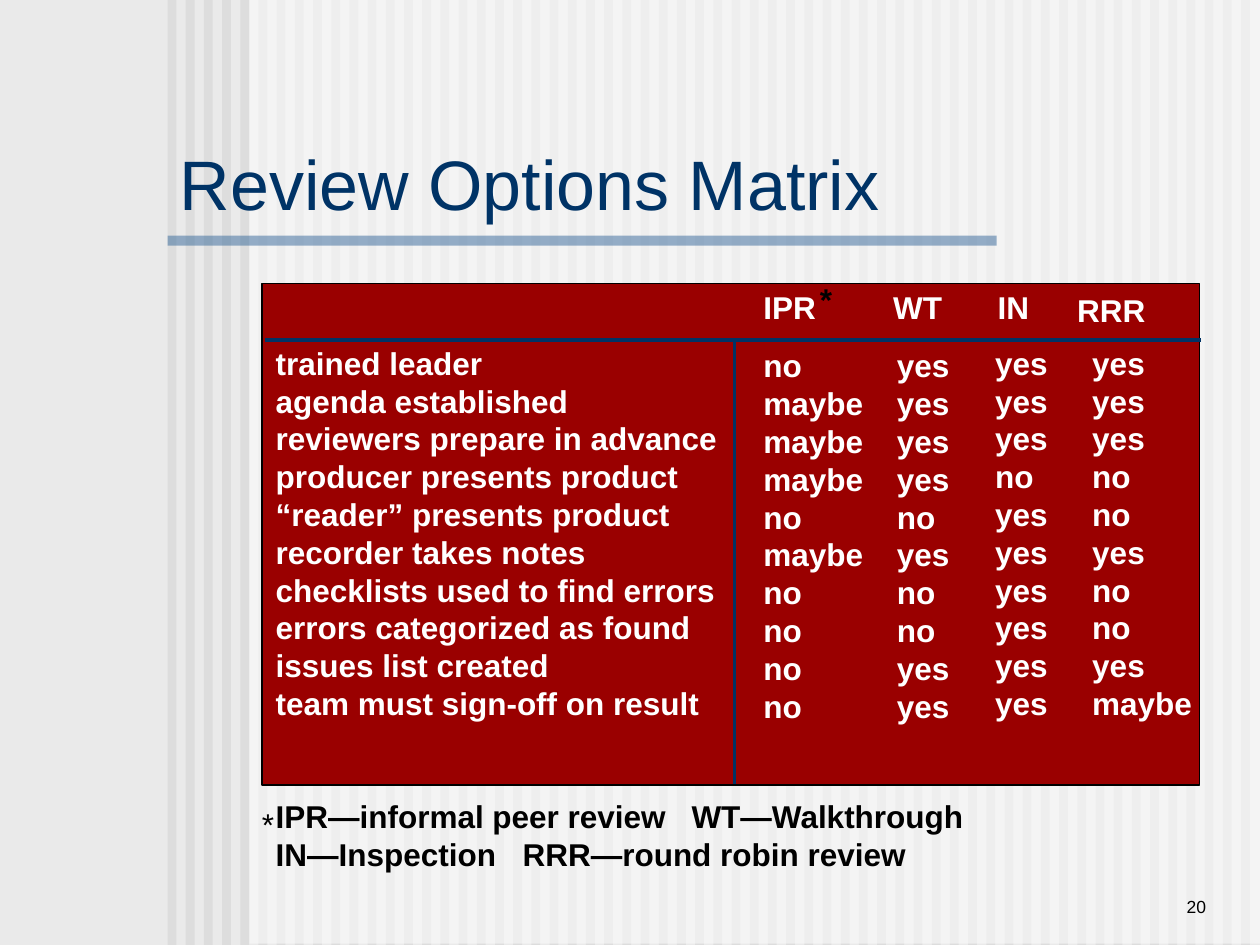
"""Build the Review Options Matrix slide."""
from lxml import etree
from pptx import Presentation, util as u
from pptx.dml.color import RGBColor
from pptx.enum import shapes, text
from pptx.oxml import ns

COLORS = {"back": "EAEAEA", "stripe": "DDDDDD", "veil": "FFFFFF", "bar": "336699",
          "panel": "9A0000", "navy": "003366", "light": "FFFFFF", "dark": "000000"}
SIZE = (10, 7.5)
STRIPES = {"count": 60, "first": 1.33, "last": 9.85, "width": 0.07}
LINE_PITCH = 21.6

CRITERIA = ["trained leader", "agenda established", "reviewers prepare in advance",
            "producer presents product", "“reader” presents product",
            "recorder takes notes", "checklists used to find errors",
            "errors categorized as found", "issues list created",
            "team must sign-off on result"]
FOOTNOTES = [("IPR—informal peer review\tWT—Walkthrough", 3.3),
             ("IN—Inspection\tRRR—round robin review", 1.96)]
OPTIONS = [
    {"name": "IPR", "head": (5.96, 2.24, 0.62, 0.4), "body": (5.96, 2.7, 0.99, 3.1),
     "answers": "no maybe maybe maybe no maybe no no no no"},
    {"name": "WT", "head": (6.99, 2.24, 0.59, 0.4), "body": (7.02, 2.7, 0.62, 3.1),
     "answers": "yes yes yes yes no yes no no yes yes"},
    {"name": "IN", "head": (7.82, 2.24, 0.45, 0.4), "body": (7.8, 2.68, 0.62, 3.1),
     "answers": "yes yes yes no yes yes yes yes yes yes"},
    {"name": "RRR", "head": (8.45, 2.26, 0.74, 0.4), "body": (8.57, 2.68, 0.99, 3.1),
     "answers": "yes yes yes no no yes no no yes maybe"},
]
STARS = [((6.41, 2.17, 0.3, 0.4), True), ((1.98, 6.34, 0.3, 0.4), False)]
RULES = [(2.1, 2.7, 9.53, 2.7), (5.83, 2.7, 5.83, 6.22)]


def inches(values):
    return [u.Inches(value) for value in values]


def color(name):
    return RGBColor.from_string(COLORS[name])


def add_block(page, place, fill, alpha=None, line=None):
    block = page.shapes.add_shape(shapes.MSO_SHAPE.RECTANGLE, *inches(place))
    block.shadow.inherit = False
    block.fill.solid()
    block.fill.fore_color.rgb = color(fill)
    if alpha:
        tint = block.fill._xPr.find(".//" + ns.qn("a:srgbClr"))
        etree.SubElement(tint, ns.qn("a:alpha")).set("val", str(alpha * 1000))
    if line:
        block.line.color.rgb = color(line)
        block.line.width = u.Pt(1)
    else:
        block.line.fill.background()


def add_rule(page, ends):
    rule = page.shapes.add_connector(shapes.MSO_CONNECTOR.STRAIGHT, *inches(ends))
    rule.line.color.rgb = color("navy")
    rule.line.width = u.Pt(2)
    etree.SubElement(rule._element.spPr, ns.qn("a:effectLst"))


def add_line(para, words, tint="light", **extra):
    span = para.add_run()
    span.text = words
    span.font.color.rgb = color(tint)
    for key, value in {"name": "Arial", "size": u.Pt(18), "bold": True, **extra}.items():
        setattr(span.font, key, value)


def add_text(page, place, lines, tint="light", wrap=False, pitch=LINE_PITCH,
             anchor=text.MSO_ANCHOR.TOP, align=text.PP_ALIGN.LEFT, **extra):
    frame = page.shapes.add_textbox(*inches(place)).text_frame
    frame.word_wrap = wrap
    frame.vertical_anchor = anchor
    for index, words in enumerate(lines):
        para = frame.add_paragraph() if index else frame.paragraphs[0]
        para.alignment = align
        if pitch:
            para.line_spacing = u.Pt(pitch)
        add_line(para, words, tint, **extra)
    return frame


def add_footnotes(frame):
    for index, (words, stop) in enumerate(FOOTNOTES):
        para = frame.add_paragraph()
        para.line_spacing = u.Pt(LINE_PITCH)
        para.space_before = u.Pt(0 if index else 2 * LINE_PITCH)
        tabs = etree.SubElement(para._p.get_or_add_pPr(), ns.qn("a:tabLst"))
        etree.SubElement(tabs, ns.qn("a:tab"), pos=str(u.Inches(stop)), algn="l")
        add_line(para, words, "dark")


def main():
    deck = Presentation()
    deck.slide_width, deck.slide_height = inches(SIZE)
    page = deck.slides.add_slide(deck.slide_layouts[6])
    page.background.fill.solid()
    page.background.fill.fore_color.rgb = color("back")

    step = (STRIPES["last"] - STRIPES["first"]) / (STRIPES["count"] - 1)
    for index in range(STRIPES["count"]):
        left = STRIPES["first"] + index * step
        add_block(page, (left, 0, STRIPES["width"], SIZE[1]), "stripe")
    add_block(page, (1.98, 0, 8.02, 7.49), "veil", alpha=50)
    add_block(page, (1.33, 1.87, 6.58, 0.08), "bar", alpha=50)
    add_block(page, (2.08, 2.25, 7.44, 3.98), "panel", line="dark")

    add_text(page, (1.33, 1.08, 7.83, 0.74), ["Review Options Matrix"], "navy", wrap=True,
             pitch=None, anchor=text.MSO_ANCHOR.MIDDLE, size=u.Pt(40), bold=False)
    add_footnotes(add_text(page, (2.09, 2.68, 5.67, 4.3), CRITERIA, wrap=True))
    for option in OPTIONS:
        add_text(page, option["head"], [option["name"]])
        add_text(page, option["body"], option["answers"].split())
    for place, bold in STARS:
        add_text(page, place, ["*"], "dark", bold=bold)
    for ends in RULES:
        add_rule(page, ends)
    add_text(page, (8.25, 6.83, 1.42, 0.5), ["20"], "dark", wrap=True, pitch=None,
             anchor=text.MSO_ANCHOR.BOTTOM, align=text.PP_ALIGN.RIGHT,
             size=u.Pt(10), bold=False)
    deck.save("out.pptx")


if __name__ == "__main__":
    main()
